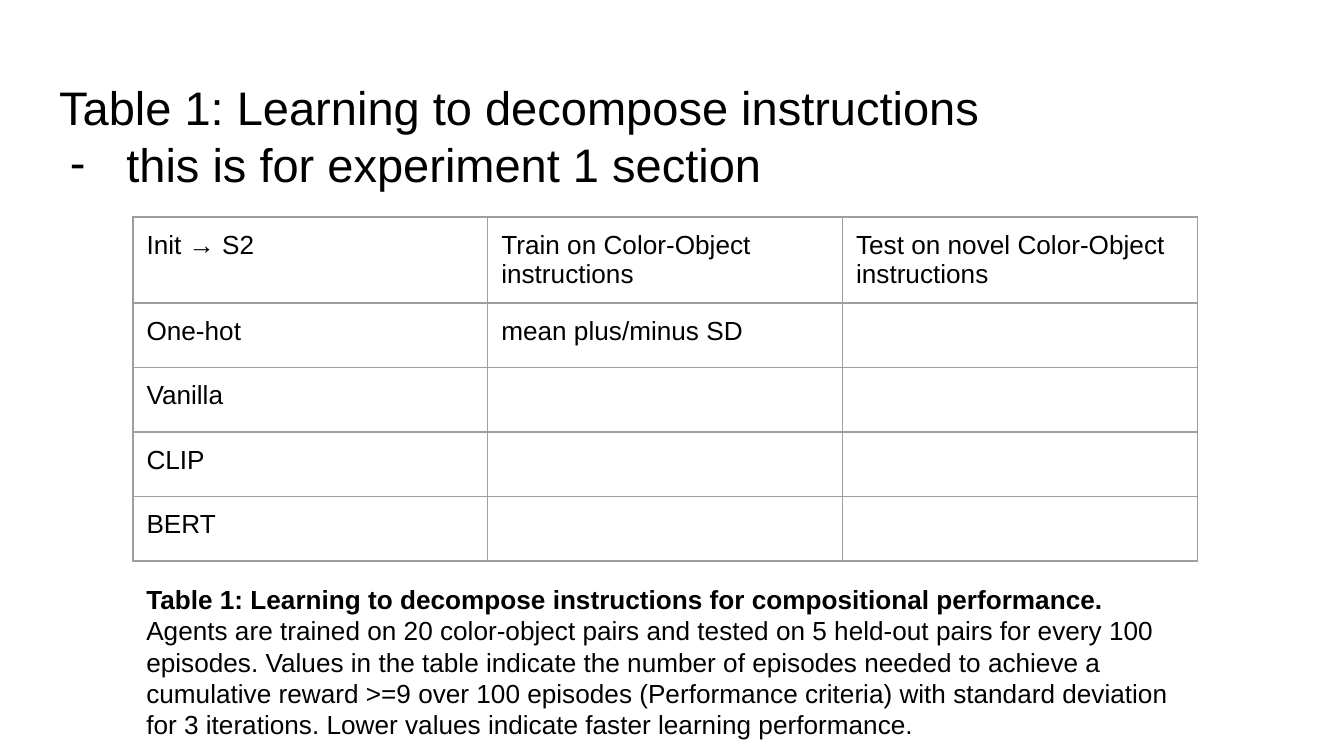
from dataclasses import dataclass

from lxml import etree
from pptx import Presentation
from pptx.dml.color import RGBColor
from pptx.enum.text import MSO_ANCHOR, PP_ALIGN
from pptx.oxml.ns import qn
from pptx.util import Pt

TOP, LEFT = MSO_ANCHOR.TOP, PP_ALIGN.LEFT
PX = 4572  # EMU per px, 200 px to the inch

TITLE = "Table 1: Learning to decompose instructions"
SUBTITLE = "this is for experiment 1 section"
ROWS = [
    ("Init → S2", "Train on Color-Object instructions",
     "Test on novel Color-Object instructions"),
    ("One-hot", "mean plus/minus SD", ""),
    ("Vanilla", "", ""),
    ("CLIP", "", ""),
    ("BERT", "", ""),
]
CAPTION = [
    ("Table 1: Learning to decompose instructions for compositional performance.", True),
    (" Agents are trained on 20 color-object pairs and tested on 5 held-out pairs "
     "for every 100 episodes. Values in the table indicate the number of episodes "
     "needed to achieve a cumulative reward >=9 over 100 episodes (Performance "
     "criteria) with standard deviation for 3 iterations. Lower values indicate "
     "faster learning performance.", False),
]

SLIDE_SIZE = (2000, 1125)
TITLE_BOX = (68, 97, 1864, 126)
TABLE_LEFT, TABLE_TOP = 198, 323
COLUMN_WIDTH, HEADER_HEIGHT, ROW_HEIGHT = 528, 128, 96
CAPTION_BOX = (198, 848, 1584, 276)
INSET = 20
BULLET_MARGIN, BULLET_INDENT = 100, -84


@dataclass(frozen=True)
class Theme:
    font: str = "Arial"
    ink: str = "000000"
    rule: str = "9E9E9E"
    rule_width: float = 0.75
    title_size: float = 25.2
    body_size: float = 14


THEME = Theme()


def px(*lengths):
    return [length * PX for length in lengths]


def set_insets(target):
    """Give a text frame or a table cell the common inset on all sides."""
    for side in ("left", "top", "right", "bottom"):
        setattr(target, f"margin_{side}", INSET * PX)


def style(para, size):
    para.alignment = LEFT
    para.line_spacing = 1.0
    para.font.name = THEME.font
    para.font.size = Pt(size)
    para.font.color.rgb = RGBColor.from_string(THEME.ink)


def set_up_frame(frame):
    frame.word_wrap = True
    frame.vertical_anchor = TOP
    set_insets(frame)


def add_dash_bullet(para):
    properties = para._p.get_or_add_pPr()
    properties.set("marL", str(BULLET_MARGIN * PX))
    properties.set("indent", str(BULLET_INDENT * PX))
    color = etree.Element(qn("a:buClr"))
    etree.SubElement(color, qn("a:srgbClr"), val=THEME.ink)
    font = etree.Element(qn("a:buFont"), typeface=THEME.font)
    bullet = etree.Element(qn("a:buChar"), char="-")
    for part in (color, font, bullet):
        properties.find(qn("a:defRPr")).addprevious(part)


def add_borders(cell):
    properties = cell._tc.get_or_add_tcPr()
    for position, side in enumerate(("lnL", "lnR", "lnT", "lnB")):
        line = etree.Element(qn(f"a:{side}"), w=str(Pt(THEME.rule_width)))
        fill = etree.SubElement(line, qn("a:solidFill"))
        etree.SubElement(fill, qn("a:srgbClr"), val=THEME.rule)
        properties.insert(position, line)


def fill_title(title):
    title.left, title.top, title.width, title.height = px(*TITLE_BOX)
    frame = title.text_frame
    set_up_frame(frame)
    frame.text = f"{TITLE}\n{SUBTITLE}"
    for para in frame.paragraphs:
        style(para, THEME.title_size)
    add_dash_bullet(frame.paragraphs[1])


def add_results_table(slide):
    columns = len(ROWS[0])
    heights = [HEADER_HEIGHT] + [ROW_HEIGHT] * (len(ROWS) - 1)
    frame = slide.shapes.add_table(
        len(ROWS), columns,
        *px(TABLE_LEFT, TABLE_TOP, columns * COLUMN_WIDTH, sum(heights)))
    table = frame.table
    table.first_row = table.horz_banding = False
    for column in table.columns:
        column.width = COLUMN_WIDTH * PX
    for row, height, texts in zip(table.rows, heights, ROWS):
        row.height = height * PX
        for cell, text in zip(row.cells, texts):
            cell.fill.background()
            add_borders(cell)
            set_insets(cell)
            cell.text = text
            style(cell.text_frame.paragraphs[0], THEME.body_size)


def add_caption(slide):
    frame = slide.shapes.add_textbox(*px(*CAPTION_BOX)).text_frame
    set_up_frame(frame)
    para = frame.paragraphs[0]
    style(para, THEME.body_size)
    for text, bold in CAPTION:
        span = para.add_run()
        span.text = text
        span.font.bold = bold


def main():
    deck = Presentation()
    deck.slide_width, deck.slide_height = px(*SLIDE_SIZE)
    slide = deck.slides.add_slide(deck.slide_layouts.get_by_name("Title Only"))
    fill_title(slide.shapes.title)
    add_results_table(slide)
    add_caption(slide)
    deck.save("out.pptx")


if __name__ == "__main__":
    main()
